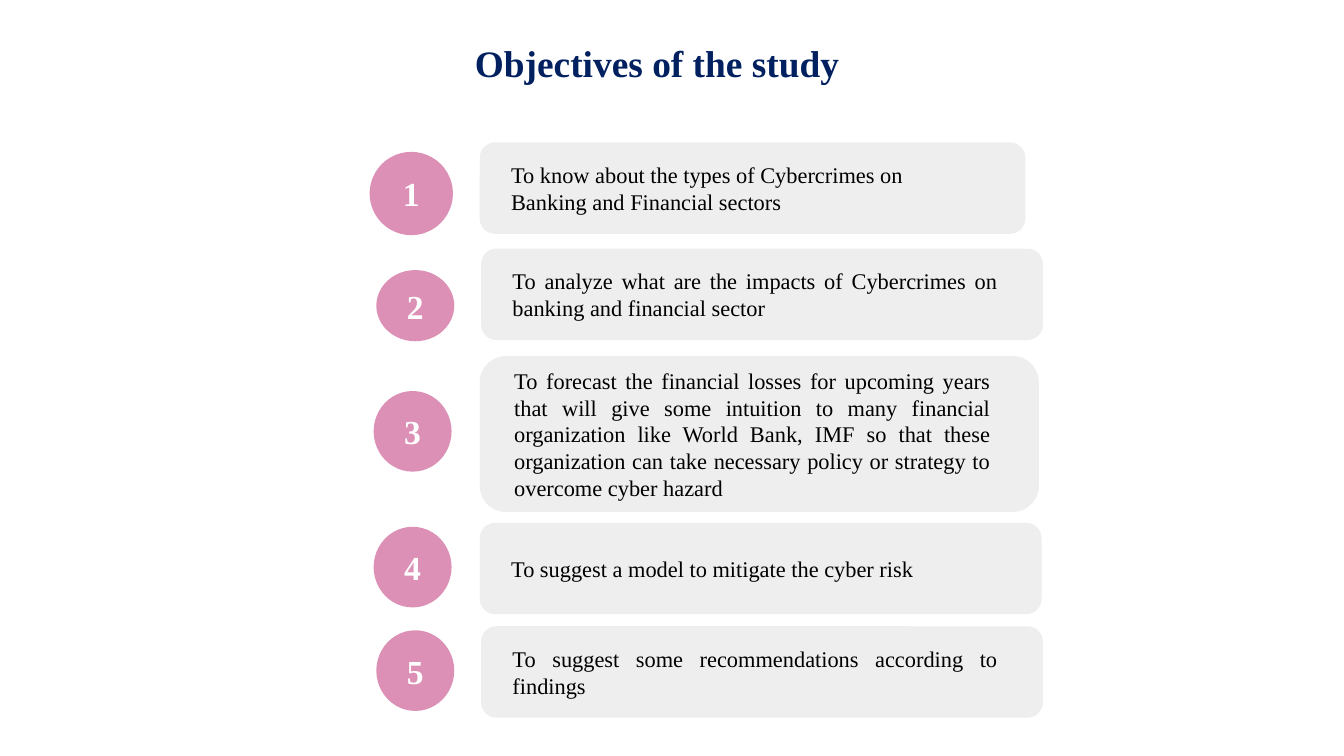
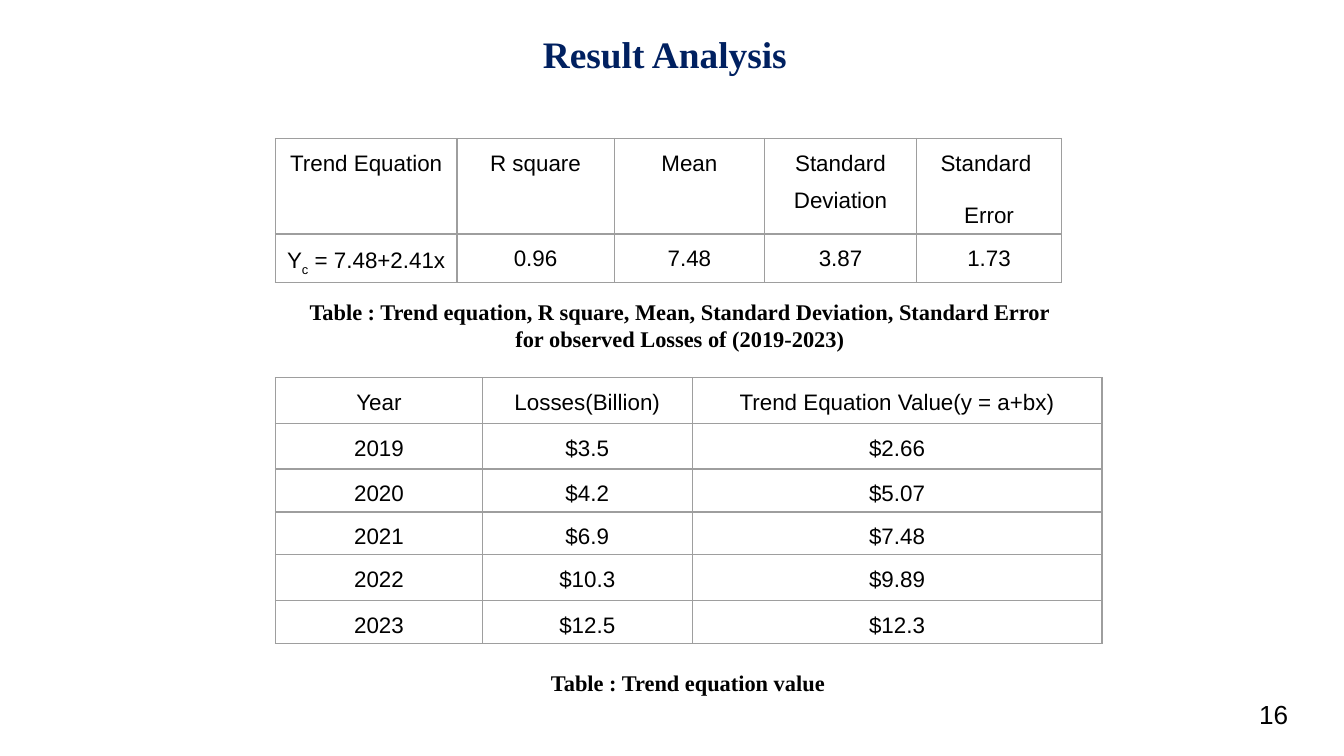
import pptx
import pptx.util
import pptx.dml.color
import pptx.enum.shapes
import pptx.enum.text
import pptx.oxml.ns
from lxml import etree

Inches, Pt = pptx.util.Inches, pptx.util.Pt
ALIGN = pptx.enum.text.PP_ALIGN
ANCHOR = pptx.enum.text.MSO_ANCHOR
SHAPE = pptx.enum.shapes.MSO_SHAPE

SLIDE_WIDTH = 10
SLIDE_HEIGHT = SLIDE_WIDTH * 9 / 16

SERIF, SANS = "Times New Roman", "Arial"
NAVY, BLACK, WHITE = "002060", "000000", "FFFFFF"
PINK, CARD_GREY, RULE_GREY = "DD90B6", "EEEEEE", "9E9E9E"
WIDE_INSET, CARD_INSET, PLAIN_INSET = (0.1,) * 4, (0.2, 0.1, 0.3, 0.1), (0.1, 0.05, 0.1, 0.05)
CELL_INSET = (0.07, 0, 0.07, 0)

OBJECTIVES = [
    ("To know about the types of Cybercrimes on Banking and Financial sectors",
     (3.57, 1.06, 4.06, 0.68), (2.75, 1.13, 0.62, 0.62)),
    ("To analyze what are the impacts of Cybercrimes on banking and financial sector ",
     (3.58, 1.85, 4.18, 0.68), (2.8, 2.01, 0.58, 0.53)),
    ("To forecast the financial losses for upcoming years that will give some intuition "
     "to many financial organization like World Bank, IMF so that these organization can "
     "take necessary policy or strategy to overcome cyber hazard",
     (3.57, 2.65, 4.16, 1.16), (2.78, 2.91, 0.58, 0.6)),
    ("To suggest a model to mitigate the cyber risk",
     (3.57, 3.89, 4.18, 0.68), (2.78, 3.92, 0.58, 0.6)),
    ("To suggest some recommendations according to findings",
     (3.58, 4.66, 4.18, 0.68), (2.8, 4.69, 0.58, 0.6)),
]

STATISTICS = [
    ["Trend Equation", "R square", "Mean", "Standard Deviation", "Standard \nError"],
    [("Y", "c", " = 7.48+2.41x"), "0.96", "7.48", "3.87", "1.73"],
]
LOSSES = [
    ["Year", "Losses(Billion)", "Trend Equation Value(y = a+bx)"],
    ["2019", "$3.5", "$2.66"],
    ["2020", "$4.2", "$5.07"],
    ["2021", "$6.9", "$7.48"],
    ["2022", "$10.3", "$9.89"],
    ["2023", "$12.5", "$12.3"],
]
TABLES = [
    (STATISTICS, (2.05, 1.03, 5.84, 1.04), [1.35, 1.17, 1.12, 1.13, 1.08], [0.37, 0.36]),
    (LOSSES, (2.05, 2.81, 6.15, 1.99), [1.54, 1.56, 3.05],
     [0.34, 0.34, 0.32, 0.32, 0.34, 0.32]),
]
CAPTIONS = [
    ("Table : Trend equation, R square, Mean, Standard Deviation, Standard Error "
     "for observed Losses of (2019-2023)", (2.14, 2.17, 5.84, 0.5)),
    ("Table : Trend equation value", (2.2, 4.93, 5.84, 0.3)),
]


def rgb(color):
    return pptx.dml.color.RGBColor.from_string(color)


def inches(box):
    return [Inches(v) for v in box]


def set_insets(target, insets):
    (target.margin_left, target.margin_top,
     target.margin_right, target.margin_bottom) = inches(insets)


def style_run(r, size, font, color, bold=False):
    r.font.size, r.font.name, r.font.bold = Pt(size), font, bold
    r.font.color.rgb = rgb(color)


def write(sp, text, size, font, color, bold=False, align=ALIGN.LEFT,
          insets=WIDE_INSET, anchor=ANCHOR.TOP, wrap=True):
    tf = sp.text_frame
    tf.text = text
    tf.word_wrap = wrap
    tf.vertical_anchor = anchor
    set_insets(tf, insets)
    p = tf.paragraphs[0]
    p.alignment = align
    style_run(p.runs[0], size, font, color, bold)


def add_text(s, box, text, *args, **kwargs):
    write(s.shapes.add_textbox(*inches(box)), text, *args, **kwargs)


def add_title(s, box, text, **kwargs):
    add_text(s, box, text, 20, SERIF, NAVY, True, **kwargs)


def add_filled(parent, kind, box, color):
    sp = parent.shapes.add_shape(kind, *inches(box))
    sp.shadow.inherit = False
    sp.fill.solid()
    sp.fill.fore_color.rgb = rgb(color)
    sp.line.fill.background()
    return sp


def add_objective(s, number, text, card_box, badge_box):
    group = s.shapes.add_group_shape()
    card = add_filled(group, SHAPE.ROUNDED_RECTANGLE, card_box, CARD_GREY)
    write(card, text, 12, SERIF, BLACK, align=ALIGN.LEFT if number == 1 else ALIGN.JUSTIFY,
          insets=CARD_INSET, anchor=ANCHOR.MIDDLE)
    badge = add_filled(group, SHAPE.OVAL, badge_box, PINK)
    write(badge, str(number), 18, SERIF, WHITE, True, ALIGN.CENTER, anchor=ANCHOR.MIDDLE)


def add_borders(cell):
    tcPr = cell._tc.get_or_add_tcPr()
    for i, side in enumerate(("lnL", "lnR", "lnT", "lnB")):
        ln = etree.Element(pptx.oxml.ns.qn("a:" + side), w=str(Pt(0.75)))
        fill = etree.SubElement(ln, pptx.oxml.ns.qn("a:solidFill"))
        etree.SubElement(fill, pptx.oxml.ns.qn("a:srgbClr"), val=RULE_GREY)
        tcPr.insert(i, ln)


def fill_cell(cell, value):
    if isinstance(value, tuple):
        p = cell.text_frame.paragraphs[0]
        for part in value:
            p.add_run().text = part
        p.runs[1]._r.get_or_add_rPr().set("baseline", "-25000")
    else:
        cell.text_frame.text = value
    set_insets(cell, CELL_INSET)
    cell.fill.background()
    add_borders(cell)
    for p in cell.text_frame.paragraphs:
        p.alignment, p.line_spacing, p.space_after = ALIGN.CENTER, 1.5, Pt(8)
        for r in p.runs:
            style_run(r, 12, SANS, BLACK)


def add_grid(s, rows, box, widths, heights):
    frame = s.shapes.add_table(len(rows), len(widths), *inches(box))
    table = frame.table
    table.first_row = table.horz_banding = False
    for column, width in zip(table.columns, widths):
        column.width = Inches(width)
    for y, (values, height) in enumerate(zip(rows, heights)):
        table.rows[y].height = Inches(height)
        for x, value in enumerate(values):
            fill_cell(table.cell(y, x), value)
    frame.width, frame.height = inches(box[2:])


def build_objectives(s):
    add_title(s, (0.39, 0.2, 9, 0.63), "Objectives of the study", align=ALIGN.CENTER)
    for number, objective in enumerate(OBJECTIVES, 1):
        add_objective(s, number, *objective)


def build_results(s):
    add_text(s, (9.27, 5.1, 0.6, 0.43), "16", 14, SANS, BLACK, anchor=ANCHOR.MIDDLE)
    add_title(s, (3.94, 0.18, 2.05, 0.44), "Result Analysis", insets=PLAIN_INSET, wrap=False)
    for grid in TABLES:
        add_grid(s, *grid)
    for text, box in CAPTIONS:
        add_text(s, box, text, 12, SERIF, BLACK, True, ALIGN.CENTER, PLAIN_INSET)


def main():
    prs = pptx.Presentation()
    prs.slide_width, prs.slide_height = inches((SLIDE_WIDTH, SLIDE_HEIGHT))
    for build in (build_objectives, build_results):
        build(prs.slides.add_slide(prs.slide_layouts[6]))
    prs.save("out.pptx")


if __name__ == "__main__":
    main()
